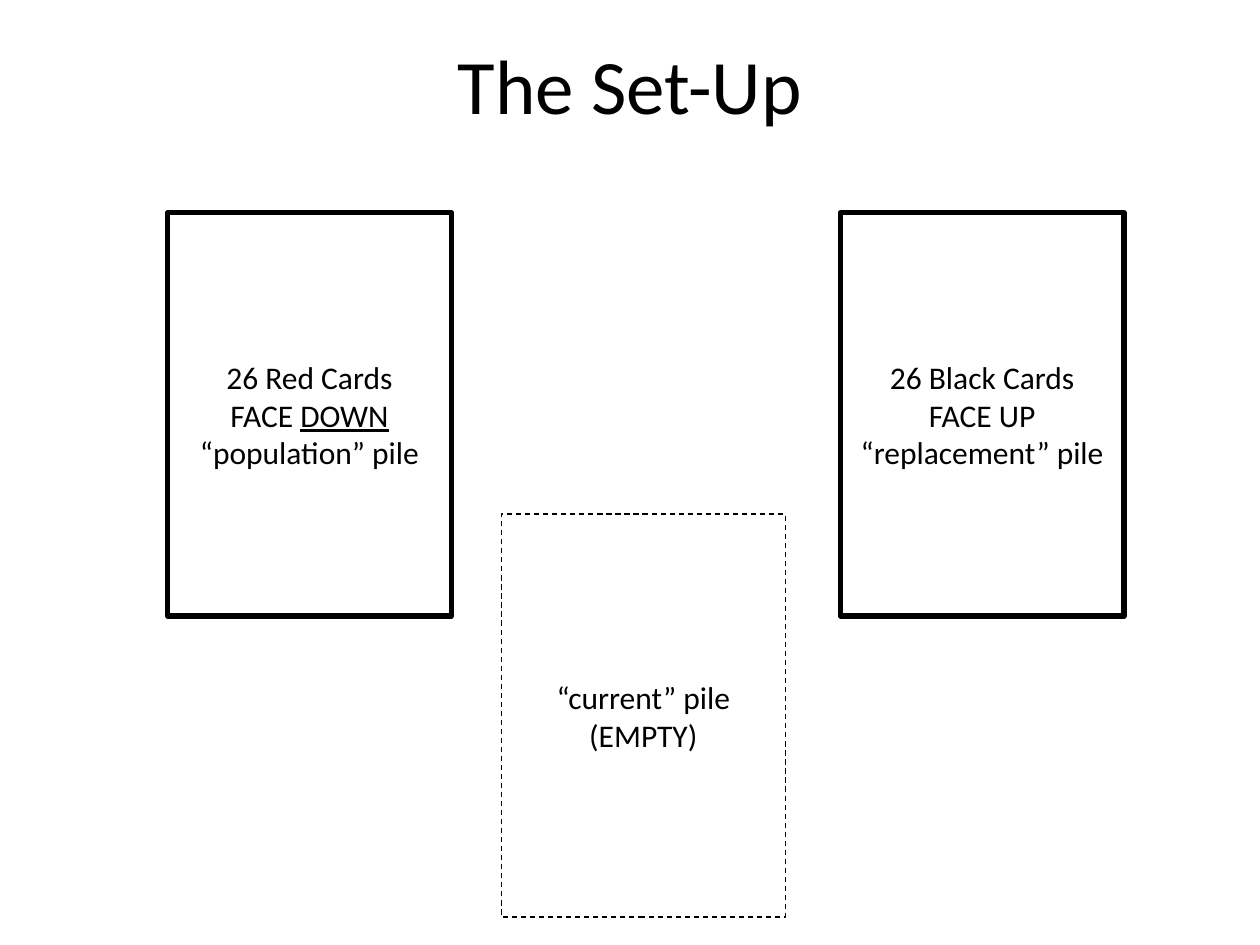
from pptx import Presentation
from pptx.dml.color import RGBColor
from pptx.enum.dml import MSO_LINE
from pptx.enum.shapes import MSO_SHAPE
from pptx.enum.text import MSO_ANCHOR, PP_ALIGN
from pptx.util import Cm, Pt

BLACK = RGBColor(0x00, 0x00, 0x00)
FONT = "Calibri"
RECTANGLE = MSO_SHAPE.RECTANGLE
CENTER = PP_ALIGN.CENTER
MIDDLE = MSO_ANCHOR.MIDDLE
SOLID = MSO_LINE.SOLID
DASH = MSO_LINE.DASH

CARD_WIDTH, CARD_HEIGHT = Cm(5.72), Cm(8.13)
TOP_ROW, BOTTOM_ROW = Cm(4.29), Cm(10.36)

# left, top, line width, dash, lines of (text, underlined) runs
PILES = [
    (Cm(3.38), TOP_ROW, Pt(3), SOLID,
     [[("26 Red Cards", False)],
      [("FACE ", False), ("DOWN", True)],
      [("“population” pile", False)]]),
    (Cm(16.94), TOP_ROW, Pt(3), SOLID,
     [[("26 Black Cards", False)],
      [("FACE UP", False)],
      [("“replacement” pile", False)]]),
    (Cm(10.11), BOTTOM_ROW, Pt(0.75), DASH,
     [[("“current” pile", False)],
      [("(EMPTY)", False)]]),
]


def add_run(paragraph, text, size, underlined=False):
    run = paragraph.add_run()
    run.text = text
    run.font.name = FONT
    run.font.size = size
    run.font.color.rgb = BLACK
    if underlined:
        run.font.underline = True


prs = Presentation()
prs.slide_width, prs.slide_height = Cm(25.4), Cm(19.05)
slide = prs.slides.add_slide(prs.slide_layouts[5])

title = slide.shapes.title
title.left, title.top = Cm(1.27), Cm(0.1)
title.width, title.height = Cm(22.86), Cm(3.18)
title.text_frame.vertical_anchor = MIDDLE
heading = title.text_frame.paragraphs[0]
heading.alignment = CENTER
add_run(heading, "The Set-Up", Pt(44))

for left, top, line_width, dash, lines in PILES:
    pile = slide.shapes.add_shape(RECTANGLE, left, top, CARD_WIDTH, CARD_HEIGHT)
    pile.shadow.inherit = False
    pile.fill.background()
    pile.line.color.rgb = BLACK
    pile.line.width = line_width
    pile.line.dash_style = dash

    label = pile.text_frame
    label.word_wrap = True
    label.vertical_anchor = MIDDLE
    for index, runs in enumerate(lines):
        paragraph = label.add_paragraph() if index else label.paragraphs[0]
        paragraph.alignment = CENTER
        for text, underlined in runs:
            add_run(paragraph, text, Pt(18), underlined)

prs.save("out.pptx")
